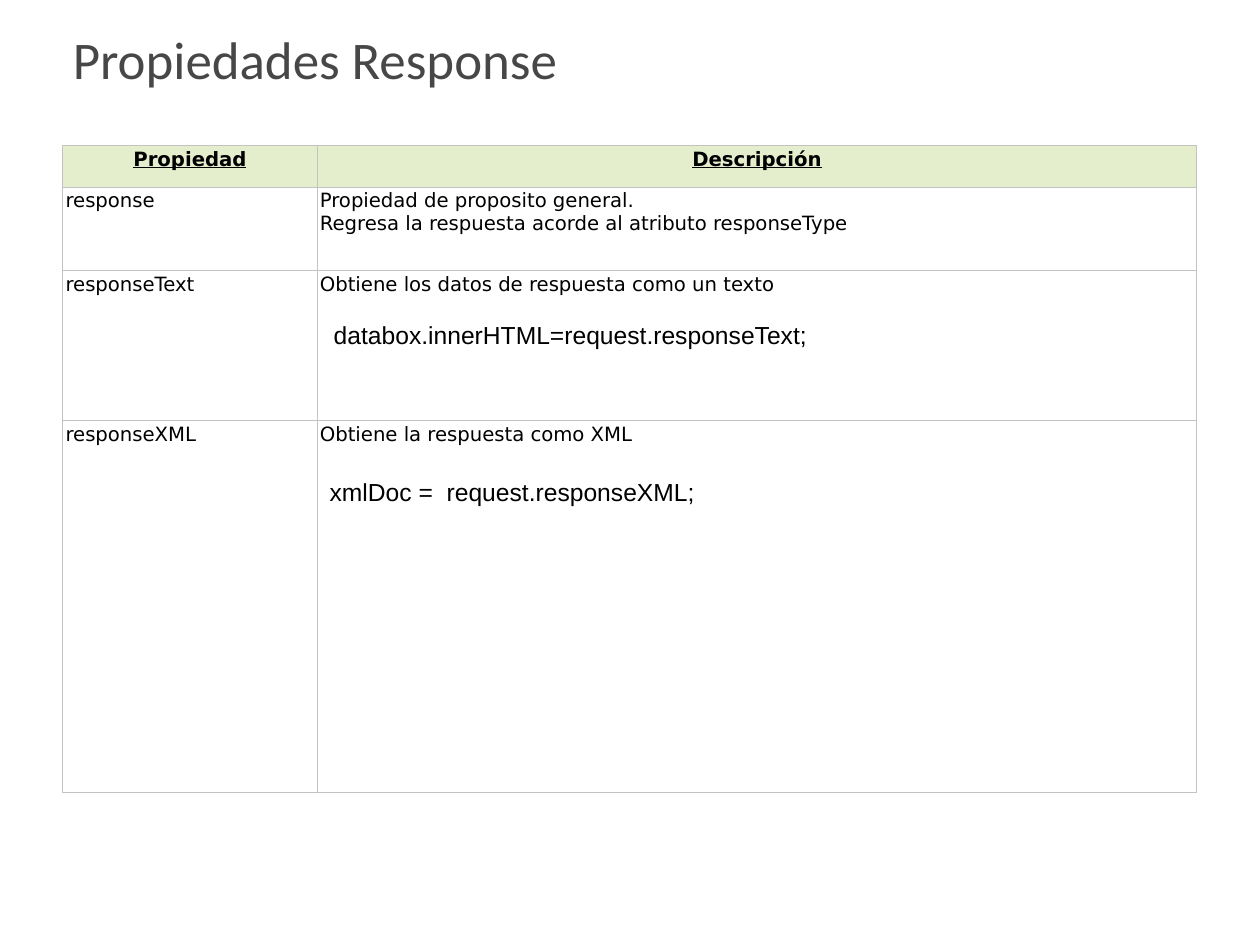
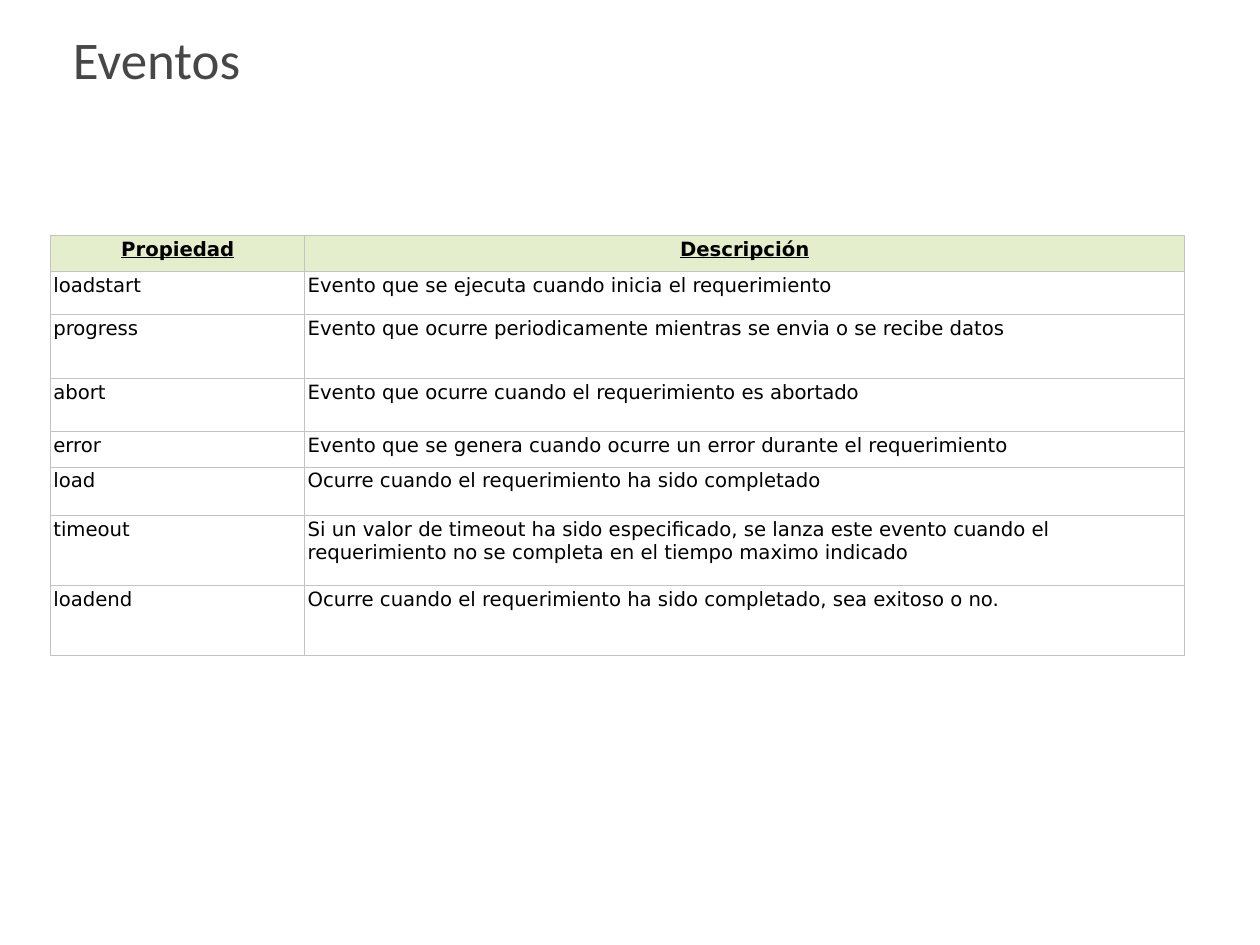
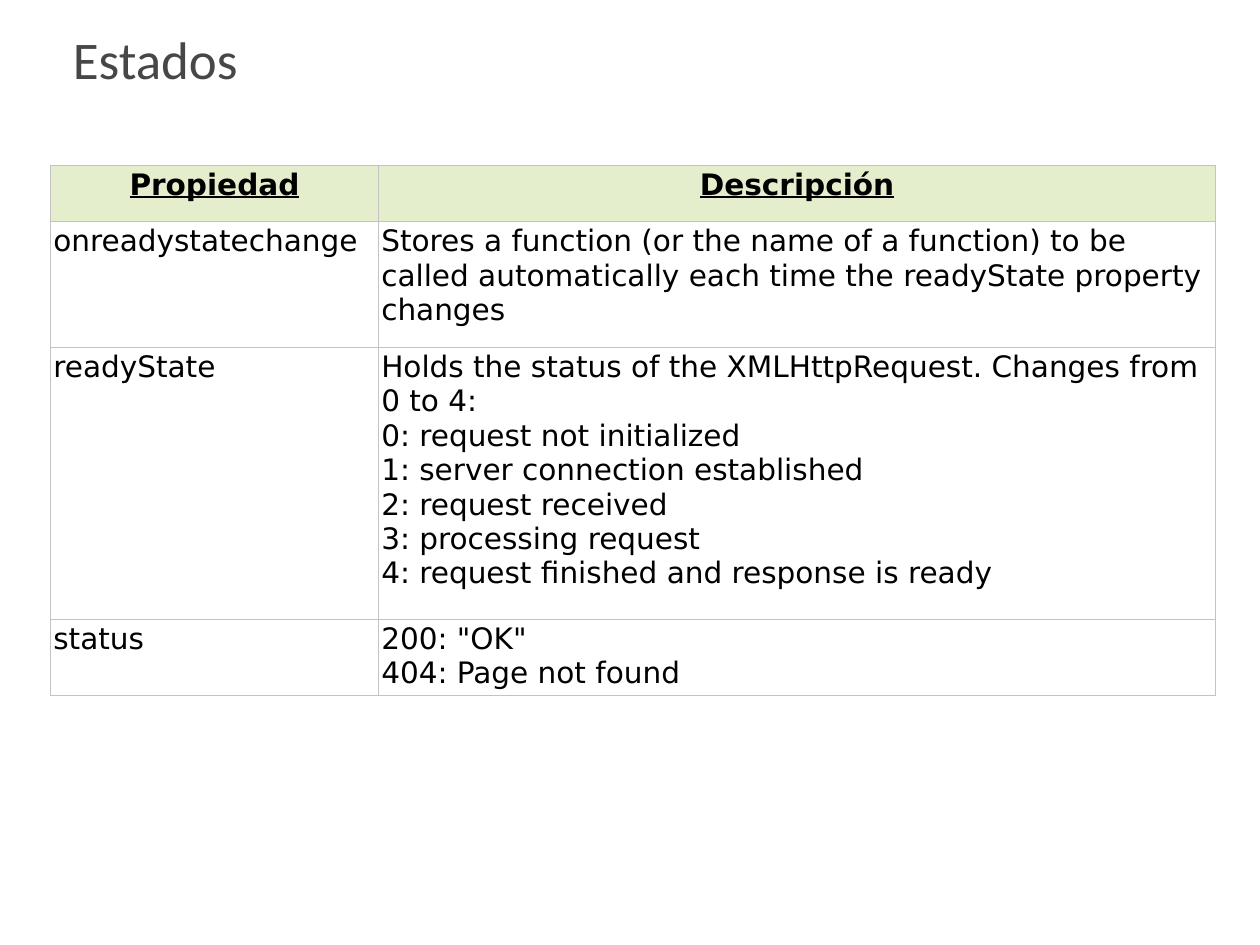
"""Build three slides of property tables for asynchronous requests."""
from dataclasses import dataclass

from lxml.etree import SubElement
from pptx import Presentation
from pptx.dml.color import RGBColor
from pptx.enum.text import MSO_ANCHOR as Anchor, PP_ALIGN as Align
from pptx.oxml.ns import qn
from pptx.slide import Slide
from pptx.table import _Cell as Cell
from pptx.text.text import TextFrame
from pptx.util import Cm, Pt

COLORS = {
    "title": "474747",
    "text": "000000",
    "header": "E5EECC",
    "body": "FFFFFF",
    "border": "C3C3C3",
}
HEADINGS = ("Propiedad", "Descripción")
CELL_INSET = 0.08
BORDER_WIDTH = Pt(0.75)


@dataclass(frozen=True)
class Row:
    """A property, its description and the row height in centimetres."""

    prop: str
    description: str
    height: float


@dataclass(frozen=True)
class Snippet:
    """A line of code laid over a table, placed in centimetres."""

    code: str
    left: float
    top: float
    width: float
    align: Align = Align.LEFT
    wrap: bool = True


@dataclass(frozen=True)
class Page:
    """A titled slide with one property table, placed in centimetres."""

    title: str
    left: float
    top: float
    columns: tuple[float, float]
    header_height: float
    rows: tuple[Row, ...]
    size: int = 16
    snippets: tuple[Snippet, ...] = ()


PAGES = (
    Page(
        "Propiedades Response", 1.8, 4.17, (7.29, 25.22), 1.19,
        (
            Row("response",
                "Propiedad de proposito general.\n"
                "Regresa la respuesta acorde al atributo responseType", 2.39),
            Row("responseText", "Obtiene los datos de respuesta como un texto", 4.32),
            Row("responseXML", "Obtiene la respuesta como XML", 10.64),
        ),
        snippets=(
            Snippet("databox.innerHTML=request.responseText;",
                    9.27, 9.04, 14.17, Align.CENTER, False),
            Snippet("xmlDoc =  request.responseXML;", 9.2, 13.54, 24.59),
        ),
    ),
    Page(
        "Eventos", 1.45, 6.76, (7.29, 25.22), 1.02,
        (
            Row("loadstart", "Evento que se ejecuta cuando inicia el requerimiento", 1.24),
            Row("progress",
                "Evento que ocurre periodicamente mientras se envia o se recibe datos", 1.83),
            Row("abort", "Evento que ocurre cuando el requerimiento es abortado", 1.52),
            Row("error",
                "Evento que se genera cuando ocurre un error durante el requerimiento", 1.02),
            Row("load", "Ocurre cuando el requerimiento ha sido completado", 1.4),
            Row("timeout",
                "Si un valor de timeout ha sido especificado, se lanza este evento cuando el "
                "requerimiento no se completa en el tiempo maximo indicado", 2.01),
            Row("loadend",
                "Ocurre cuando el requerimiento ha sido completado, sea exitoso o no.", 2.01),
        ),
    ),
    Page(
        "Estados", 1.45, 4.75, (9.4, 24), 1.6,
        (
            Row("onreadystatechange",
                "Stores a function (or the name of a function) to be called automatically "
                "each time the readyState property changes", 3.61),
            Row("readyState",
                "Holds the status of the XMLHttpRequest. Changes from 0 to 4:\n"
                "0: request not initialized\n"
                "1: server connection established\n"
                "2: request received\n"
                "3: processing request\n"
                "4: request finished and response is ready", 7.8),
            Row("status", '200: "OK"\n404: Page not found', 2.18),
        ),
        size=24,
    ),
)


def write(frame: TextFrame, text: str, *, font: str, size: int, color: str = "text",
          align: Align = Align.LEFT, heading: bool = False) -> None:
    """Fill a frame with one formatted paragraph per line of text."""
    for index, line in enumerate(text.split("\n")):
        paragraph = frame.add_paragraph() if index else frame.paragraphs[0]
        paragraph.alignment = align
        run = paragraph.add_run()
        run.text = line
        run.font.name = font
        run.font.size = Pt(size)
        run.font.bold = heading
        run.font.underline = heading
        run.font.color.rgb = RGBColor.from_string(COLORS[color])


def add_title(slide: Slide, title: str) -> None:
    """Add the slide title."""
    frame = slide.shapes.add_textbox(Cm(1.73), Cm(0.3), Cm(33.2), Cm(2.72)).text_frame
    frame.word_wrap = True
    frame.vertical_anchor = Anchor.MIDDLE
    frame.margin_left = frame.margin_right = Cm(0.36)
    frame.margin_top = frame.margin_bottom = Cm(0.18)
    write(frame, title, font="Calibri", size=43, color="title")


def style_cell(cell: Cell, fill: str) -> None:
    """Set the insets, borders and fill of a cell."""
    cell.margin_left = cell.margin_right = Cm(CELL_INSET)
    cell.margin_top = cell.margin_bottom = Cm(CELL_INSET)
    properties = cell._tc.get_or_add_tcPr()
    for side in ("a:lnL", "a:lnR", "a:lnT", "a:lnB"):
        border = SubElement(properties, qn(side), w=str(BORDER_WIDTH))
        SubElement(SubElement(border, qn("a:solidFill")), qn("a:srgbClr"),
                   val=COLORS["border"])
    cell.fill.solid()
    cell.fill.fore_color.rgb = RGBColor.from_string(COLORS[fill])


def add_properties(slide: Slide, page: Page) -> None:
    """Add the property table of a page."""
    heights = [page.header_height, *(row.height for row in page.rows)]
    lines = [HEADINGS, *((row.prop, row.description) for row in page.rows)]
    table = slide.shapes.add_table(
        len(lines), len(HEADINGS), Cm(page.left), Cm(page.top),
        Cm(sum(page.columns)), Cm(sum(heights))).table
    table.horz_banding = False
    for column, width in zip(table.columns, page.columns):
        column.width = Cm(width)
    for index, (height, texts) in enumerate(zip(heights, lines)):
        heading = index == 0
        table.rows[index].height = Cm(height)
        for cell, text in zip(table.rows[index].cells, texts):
            style_cell(cell, "header" if heading else "body")
            write(cell.text_frame, text, font="DejaVu Sans", size=page.size,
                  align=Align.CENTER if heading else Align.LEFT, heading=heading)


def add_snippet(slide: Slide, snippet: Snippet) -> None:
    """Add a line of code over the table."""
    frame = slide.shapes.add_textbox(
        Cm(snippet.left), Cm(snippet.top), Cm(snippet.width), Cm(1.12)).text_frame
    frame.word_wrap = snippet.wrap
    write(frame, snippet.code, font="Arial", size=20, align=snippet.align)


def main() -> None:
    """Build and save the presentation."""
    deck = Presentation()
    deck.slide_width, deck.slide_height = Cm(36.12), Cm(27.1)
    for page in PAGES:
        slide = deck.slides.add_slide(deck.slide_layouts[6])
        add_title(slide, page.title)
        add_properties(slide, page)
        for snippet in page.snippets:
            add_snippet(slide, snippet)
    deck.save("out.pptx")


if __name__ == "__main__":
    main()
